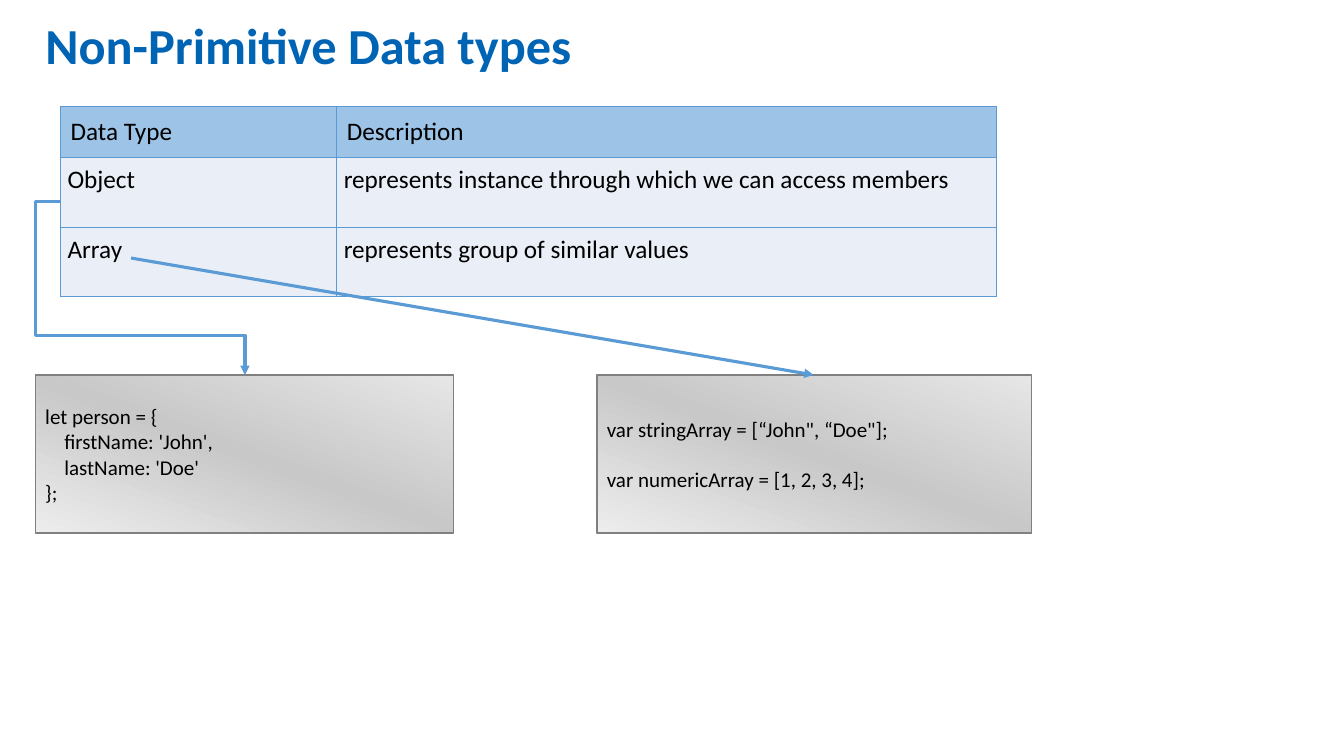
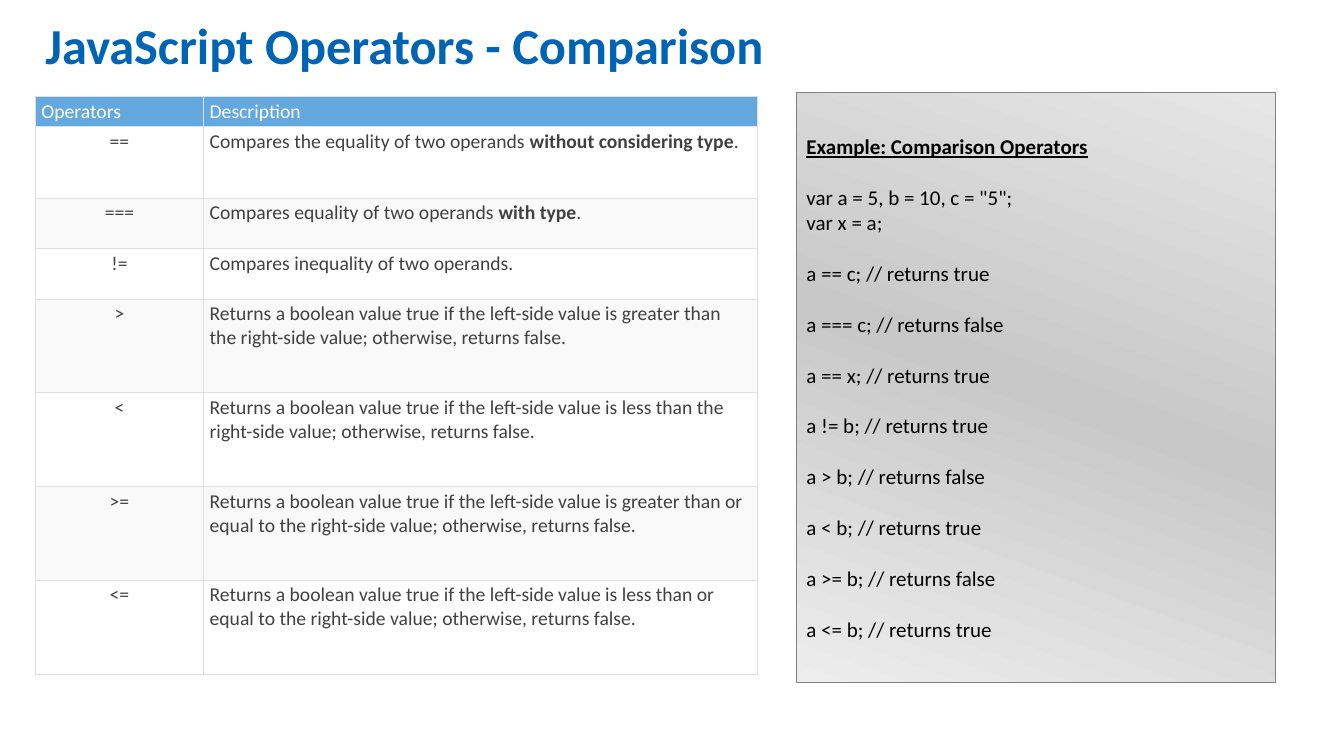
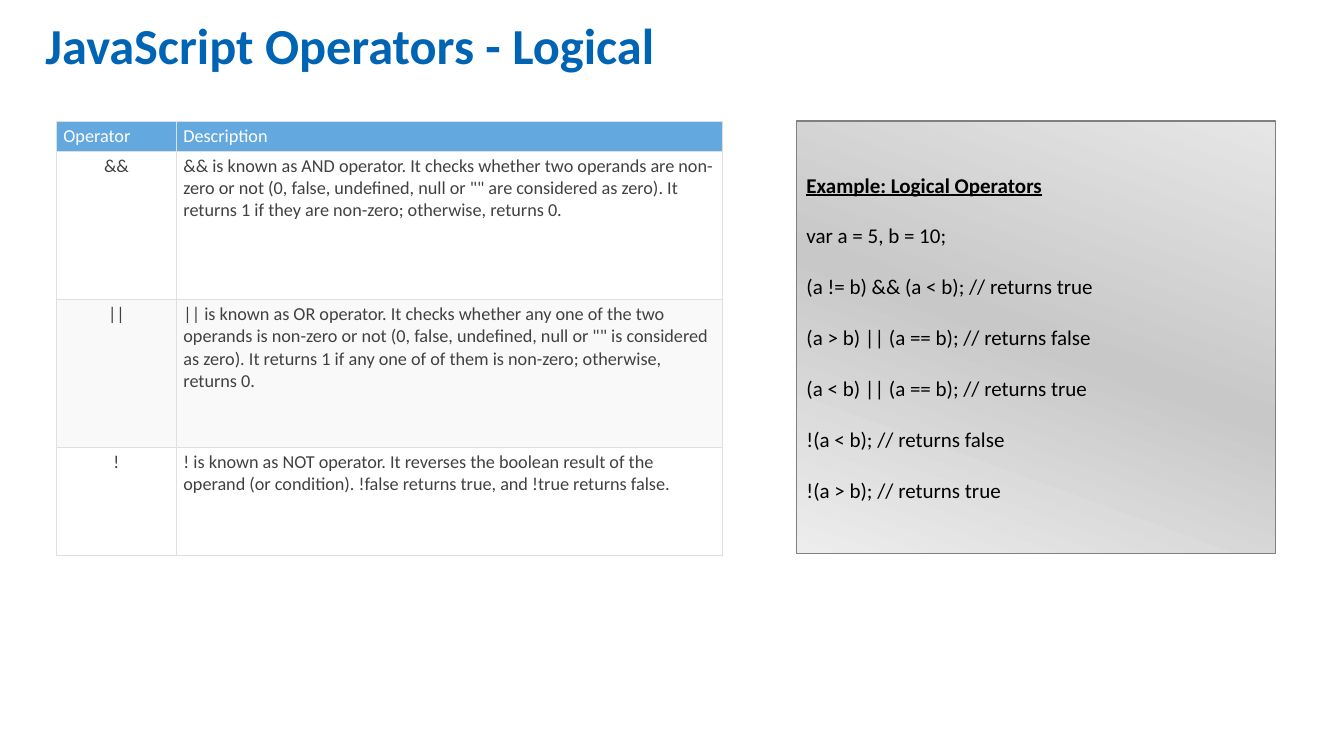
from copy import deepcopy

from lxml import etree
from pptx import Presentation
from pptx import util as u
from pptx.dml.color import RGBColor
from pptx.enum import shapes, text
from pptx.oxml import ns

Inches, Pt = u.Inches, u.Pt
ALIGN, ANCHOR = text.PP_ALIGN, text.MSO_ANCHOR
FONT, BLACK, BLUE = "Calibri", "000000", "5B9BD5"
CODE_SIZE, BLANK_LINE, CODE_INDENT = 15, 18.3, 0.19


def rgb(value):
    return RGBColor.from_string(value)


def add_run(paragraph, words, size, color, **extra):
    run = paragraph.add_run()
    run.text = words
    settings = {"name": FONT, "size": Pt(size), "bold": False, **extra}
    for name, value in settings.items():
        setattr(run.font, name, value)
    run.font.color.rgb = rgb(color)


# Table looks
type_look = {
    "size": 18, "header_color": BLACK, "body_color": BLACK,
    "header_fill": "9DC3E6", "body_fills": ["EAEFF7", "EAEFF7"],
    "border": (BLUE, 1), "header_inset": (0.1, 0.1), "body_inset": (0.07, 0.07),
    "header_anchor": ANCHOR.TOP, "aligns": [ALIGN.JUSTIFY, ALIGN.JUSTIFY],
}
operator_look = {
    "size": 14, "header_color": "FFFFFF", "body_color": "414141",
    "header_fill": "63A9E0", "body_fills": ["FFFFFF", "F9F9F9"],
    "border": ("DFDFDF", 0.6), "header_inset": (0.06, 0.03), "body_inset": (0.06, 0.03),
    "header_anchor": ANCHOR.BOTTOM, "aligns": [ALIGN.CENTER, ALIGN.LEFT],
}
logical_look = {**operator_look, "size": 13,
                "header_inset": (0.07, 0.04), "body_inset": (0.07, 0.04)}

# Content: ** marks bold words, a tab marks an indented code line
returns = "Returns a boolean value true if the left-side value is "
otherwise = " the right-side value; otherwise, returns false."
pages = [
    {
        "title": "Non-Primitive Data types",
        "look": type_look,
        "place": (0.6, 1.06),
        "columns": [2.74, 6.54],
        "heights": [0.5, 0.69, 0.69],
        "rows": [
            ("Data Type", "Description"),
            ("Object", "represents instance through which we can access members"),
            ("Array", "represents group of similar values"),
        ],
        "boxes": [
            ((0.35, 3.72, 4.15, 1.57), None,
             [["let person = {", "\tfirstName: 'John',", "\tlastName: 'Doe'", "};"]]),
            ((5.92, 3.72, 4.31, 1.57), None,
             [['var stringArray = [“John", “Doe"];'],
              ["var numericArray = [1, 2, 3, 4];"]]),
        ],
    },
    {
        "title": "JavaScript Operators - Comparison",
        "look": operator_look,
        "place": (0.35, 0.96),
        "columns": [1.67, 5.49],
        "heights": [0.29, 0.71, 0.5, 0.5, 0.93, 0.93, 0.93, 0.93],
        "rows": [
            ("Operators", "Description"),
            ("==", "Compares the equality of two operands **without considering type**."),
            ("===", "Compares equality of two operands **with type**."),
            ("!=", "Compares inequality of two operands."),
            (">", returns + "greater than" + otherwise),
            ("<", returns + "less than" + otherwise),
            (">=", returns + "greater than or equal to" + otherwise),
            ("<=", returns + "less than or equal to" + otherwise),
        ],
        "boxes": [
            ((7.9, 0.92, 4.75, 5.85), "Example: Comparison Operators",
             [['var a = 5, b = 10, c = "5";', "var x = a;"],
              ["a == c; // returns true"],
              ["a === c; // returns false"],
              ["a == x; // returns true"],
              ["a != b; // returns true"],
              ["a > b; // returns false"],
              ["a < b; // returns true"],
              ["a >= b; // returns false"],
              ["a <= b; // returns true"]]),
        ],
    },
    {
        "title": "JavaScript Operators - Logical",
        "look": logical_look,
        "place": (0.56, 1.2),
        "columns": [1.19, 5.41],
        "heights": [0.29, 1.47, 1.47, 1.07],
        "rows": [
            ("Operator", "Description"),
            ("&&", "&& is known as AND operator. It checks whether two operands are "
                   'non-zero or not (0, false, undefined, null or "" are considered as '
                   "zero). It returns 1 if they are non-zero; otherwise, returns 0."),
            ("||", "|| is known as OR operator. It checks whether any one of the two "
                   'operands is non-zero or not (0, false, undefined, null or "" is '
                   "considered as zero). It returns 1 if any one of of them is non-zero; "
                   "otherwise, returns 0."),
            ("!", "! is known as NOT operator. It reverses the boolean result of the "
                  "operand (or condition). !false returns true, and !true returns false."),
        ],
        "boxes": [
            ((7.9, 1.2, 4.75, 4.29), "Example: Logical Operators",
             [["var a = 5, b = 10;"],
              ["(a != b) && (a < b); // returns true"],
              ["(a > b) || (a == b); // returns false"],
              ["(a < b) || (a == b); // returns true"],
              ["!(a < b); // returns false"],
              ["!(a > b); // returns true"]]),
        ],
    },
]

presentation = Presentation()
presentation.slide_width, presentation.slide_height = Inches(13.33), Inches(7.5)

for page in pages:
    slide = presentation.slides.add_slide(presentation.slide_layouts[5])

    # Title
    title = slide.shapes.title
    title.left, title.top = Inches(0.35), Inches(0.16)
    title.width, title.height = Inches(10.71), Inches(0.69)
    title.text_frame.vertical_anchor = ANCHOR.TOP
    title.text_frame.auto_size = text.MSO_AUTO_SIZE.NONE
    paragraph = title.text_frame.paragraphs[0]
    paragraph.alignment, paragraph.line_spacing = ALIGN.LEFT, 0.9
    add_run(paragraph, page["title"], 36, "0064B5", bold=True)

    # Table
    look, columns, heights = page["look"], page["columns"], page["heights"]
    left, top = page["place"]
    table = slide.shapes.add_table(
        len(heights), len(columns), Inches(left), Inches(top),
        Inches(sum(columns)), Inches(sum(heights))).table
    for column, width in zip(table.columns, columns):
        column.width = Inches(width)
    for row, height in zip(table.rows, heights):
        row.height = Inches(height)
    border_color, border_width = look["border"]
    for r, words in enumerate(page["rows"]):
        part = "body" if r else "header"
        side, end = look[part + "_inset"]
        for c, content in enumerate(words):
            cell = table.cell(r, c)
            cell.margin_left = cell.margin_right = Inches(side)
            cell.margin_top = cell.margin_bottom = Inches(end)
            cell.vertical_anchor = ANCHOR.TOP if r else look["header_anchor"]
            cell.fill.solid()
            cell.fill.fore_color.rgb = rgb(
                look["body_fills"][(r - 1) % 2] if r else look["header_fill"])
            paragraph = cell.text_frame.paragraphs[0]
            paragraph.alignment = look["aligns"][c] if r else ALIGN.LEFT
            for i, piece in enumerate(content.split("**")):
                add_run(paragraph, piece, look["size"], look[part + "_color"], bold=i % 2 == 1)
            # Borders come before the fill in the cell properties
            properties = cell._tc.get_or_add_tcPr()
            for i, edge in enumerate(("lnL", "lnR", "lnT", "lnB")):
                line = etree.Element(ns.qn("a:" + edge), w=str(Pt(border_width)))
                fill = etree.SubElement(line, ns.qn("a:solidFill"))
                etree.SubElement(fill, ns.qn("a:srgbClr"), val=border_color)
                properties.insert(i, line)

    # Code boxes
    for place, heading, blocks in page["boxes"]:
        box = slide.shapes.add_shape(
            shapes.MSO_SHAPE.RECTANGLE, *[Inches(length) for length in place])
        box.shadow.inherit = False
        box.line.color.rgb, box.line.width = rgb("808080"), Pt(1)
        box.fill.gradient()
        box.fill.gradient_angle = 250
        stop_list = box._element.spPr.find(".//" + ns.qn("a:gsLst"))
        stop_list.append(deepcopy(stop_list[-1]))
        stops = [(0, "E7E6E6"), (0.5, "C8C8C8"), (1, "EDEDED")]
        for stop, (position, color) in zip(box.fill.gradient_stops, stops):
            stop.position, stop.color.rgb = position, rgb(color)

        frame = box.text_frame
        frame.word_wrap, frame.vertical_anchor = True, ANCHOR.MIDDLE
        paragraph = frame.paragraphs[0]
        if heading:
            blocks = [[heading]] + blocks
        for b, block in enumerate(blocks):
            for i, code in enumerate(block):
                if b or i:
                    paragraph = frame.add_paragraph()
                paragraph.alignment = ALIGN.LEFT
                if b and i == 0:
                    paragraph.space_before = Pt(BLANK_LINE)
                if code.startswith("\t"):
                    paragraph._p.get_or_add_pPr().set("marL", str(Inches(CODE_INDENT)))
                is_heading = code == heading
                add_run(paragraph, code.strip(), CODE_SIZE, BLACK,
                        bold=is_heading, underline=is_heading)

# Arrows from the data types to their examples
slide = presentation.slides[0]
kinds = shapes.MSO_CONNECTOR
arrows = [
    (kinds.ELBOW, (0.6, 2, 2.43, 3.72)),
    (kinds.STRAIGHT, (1.3, 2.56, 8.07, 3.72)),
]
for kind, ends in arrows:
    arrow = slide.shapes.add_connector(kind, *[Inches(length) for length in ends])
    arrow.line.color.rgb, arrow.line.width = rgb(BLUE), Pt(2.25)
    properties = arrow._element.spPr
    etree.SubElement(arrow.line._get_or_add_ln(), ns.qn("a:tailEnd"), type="triangle")
    etree.SubElement(properties, ns.qn("a:effectLst"))
    if kind == kinds.ELBOW:
        # Go out to the left, down past the table, then right and down
        geometry = properties.find(ns.qn("a:prstGeom"))
        geometry.set("prst", "bentConnector4")
        guides = geometry.find(ns.qn("a:avLst"))
        for name, value in (("adj1", -13700), ("adj2", 77200)):
            etree.SubElement(guides, ns.qn("a:gd"), name=name, fmla=f"val {value}")

presentation.save("out.pptx")
